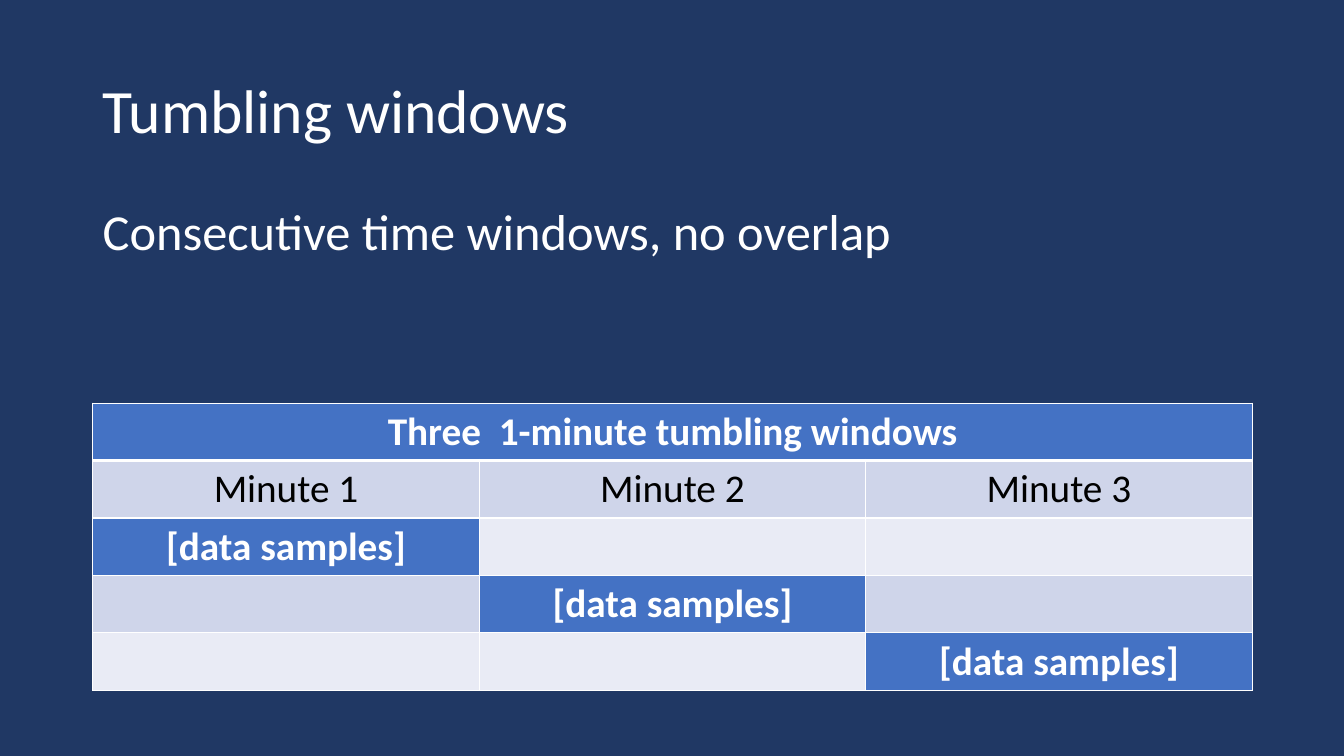
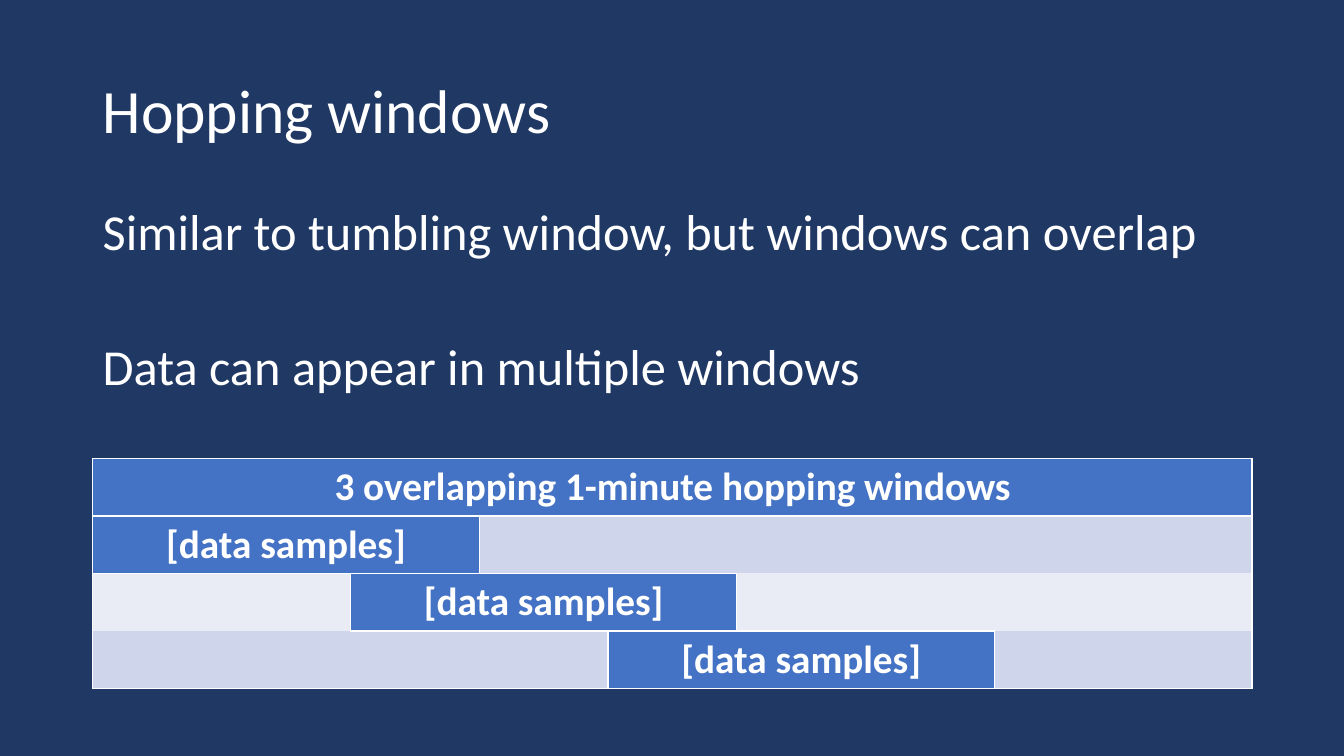
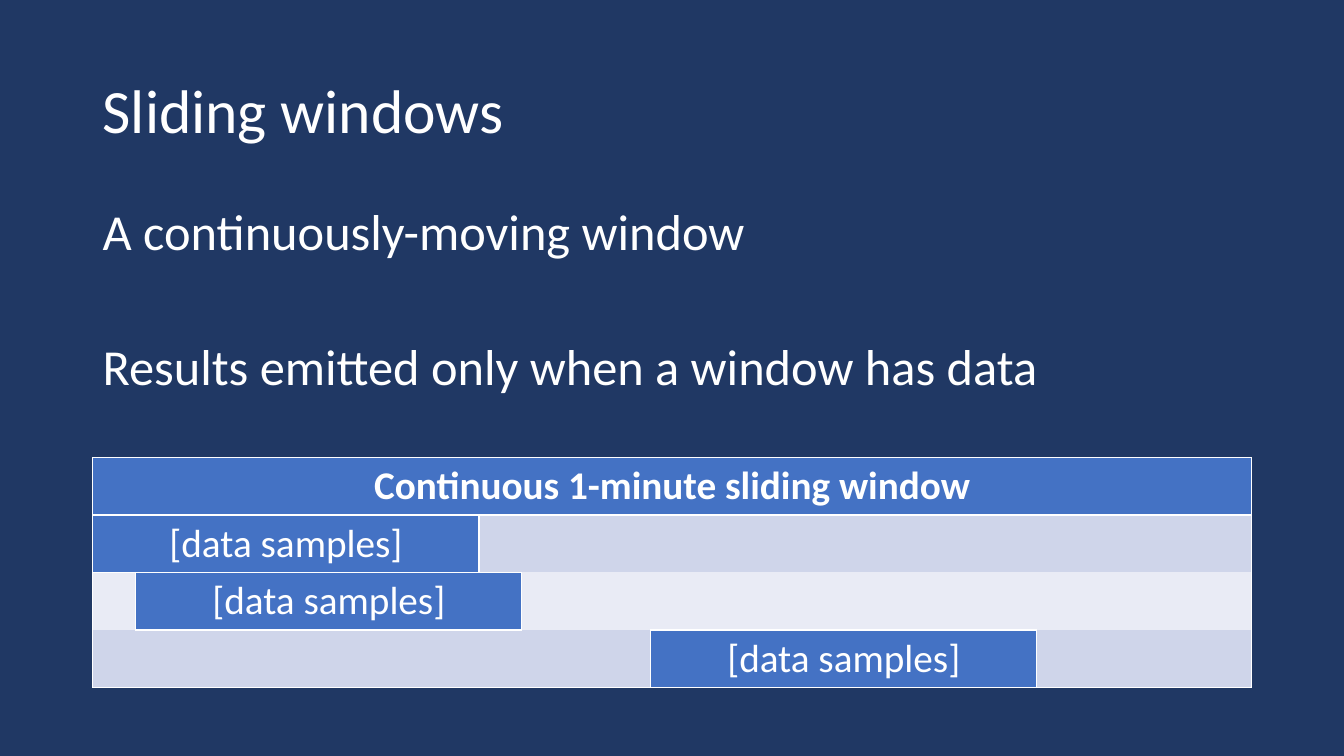
import lxml.etree
import pptx
import pptx.dml.color
import pptx.enum.text
import pptx.oxml.ns
import pptx.util

Inches = pptx.util.Inches
Pt = pptx.util.Pt

COLORS = {
    "background": "203864",
    "white": "FFFFFF",
    "black": "000000",
    "window": "4472C4",
    "odd_row": "CFD5EA",
    "even_row": "E9EBF5",
}
FONT = "Calibri"
LEFT = Inches(0.92)
WIDTH = Inches(11.5)
ROW_HEIGHT = Inches(0.57)
SAMPLES = "[data samples]"


def rgb(name):
    """Return the named colour."""
    return pptx.dml.color.RGBColor.from_string(COLORS[name])


def style_runs(para, size, color="white", bold=False):
    """Give every run of a paragraph the deck font."""
    for span in para.runs:
        span.font.name = FONT
        span.font.size = Pt(size)
        span.font.bold = bold
        span.font.color.rgb = rgb(color)


def add_text(page, top, height, lines, size, gaps, anchor):
    """Add a text box with one paragraph per line and the given space before each."""
    box = page.shapes.add_textbox(LEFT, top, WIDTH, height)
    frame = box.text_frame
    frame.word_wrap = True
    frame.vertical_anchor = anchor
    frame.text = "\n".join(lines)
    for para, gap in zip(frame.paragraphs, gaps):
        para.line_spacing = 0.9
        para.space_before = Pt(gap)
        style_runs(para, size)


def add_page(deck, title, lines):
    """Add a page with its title and statements."""
    page = deck.slides.add_slide(deck.slide_layouts[6])
    anchors = pptx.enum.text.MSO_ANCHOR
    add_text(page, Inches(0.4), Inches(1.45), [title], 44, [0], anchors.MIDDLE)
    add_text(page, Inches(2), Inches(4.76), lines, 36, [10, 58], anchors.TOP)
    return page


def set_borders(cell, widths):
    """Draw the left, right, top and bottom borders; a zero width draws none."""
    properties = cell._tc.get_or_add_tcPr()
    for index, (side, width) in enumerate(zip("LRTB", widths)):
        line = lxml.etree.Element(pptx.oxml.ns.qn(f"a:ln{side}"), w=str(Pt(width)))
        if width:
            fill = lxml.etree.SubElement(line, pptx.oxml.ns.qn("a:solidFill"))
            lxml.etree.SubElement(fill, pptx.oxml.ns.qn("a:srgbClr"), val=COLORS["white"])
        else:
            lxml.etree.SubElement(line, pptx.oxml.ns.qn("a:noFill"))
        properties.insert(index, line)


def fill_cell(cell, text, color, bold):
    """Write centred text into a table cell."""
    cell.text = text
    para = cell.text_frame.paragraphs[0]
    para.alignment = pptx.enum.text.PP_ALIGN.CENTER
    style_runs(para, 28, color, bold)


def add_timeline(page, top, columns, header, starts, span, labels=(),
                 bold=True, header_rule=1):
    """Add a table with a header, optional labels and one window per row."""
    first = 2 if labels else 1
    rows = first + len(starts)
    frame = page.shapes.add_table(rows, columns, LEFT, top, WIDTH, ROW_HEIGHT * rows)
    table = frame.table
    table.first_row = False
    table.horz_banding = False
    for column in table.columns:
        column.width = int(WIDTH / columns)

    windows = [(0, 0, columns, header, True)]
    windows += [(first + index, start, span, SAMPLES, bold)
                for index, start in enumerate(starts)]
    covered = {(row, start + offset)
               for row, start, length, _, _ in windows for offset in range(length)}

    def border(row, column, neighbour):
        """Return the width of the line between a cell and its neighbour."""
        if {row, neighbour[0]} == {0, 1}:
            return header_rule
        outside = not (0 <= neighbour[0] < rows and 0 <= neighbour[1] < columns)
        touches = (row, column) in covered or neighbour in covered
        return 1 if labels or outside or touches else 0

    for row in range(rows):
        for column in range(columns):
            cell = table.cell(row, column)
            band = "odd_row" if row % 2 else "even_row"
            cell.fill.solid()
            cell.fill.fore_color.rgb = rgb("window" if (row, column) in covered else band)
            neighbours = [(row, column - 1), (row, column + 1),
                          (row - 1, column), (row + 1, column)]
            set_borders(cell, [border(row, column, place) for place in neighbours])

    for row, start, length, text, heavy in windows:
        cell = table.cell(row, start)
        if length > 1:
            cell.merge(table.cell(row, start + length - 1))
        fill_cell(cell, text, "white", heavy)
    for column, label in enumerate(labels):
        fill_cell(table.cell(1, column), label, "black", False)


def main():
    """Build the deck of window types."""
    deck = pptx.Presentation()
    deck.slide_width = Inches(13.33)
    deck.slide_height = Inches(7.5)
    background = deck.slide_master.background.fill
    background.solid()
    background.fore_color.rgb = rgb("background")

    page = add_page(deck, "Tumbling windows", ["Consecutive time windows, no overlap"])
    add_timeline(page, Inches(4), 3, "Three  1-minute tumbling windows", [0, 1, 2], 1,
                 labels=[f"Minute {number}" for number in (1, 2, 3)], header_rule=3)

    page = add_page(deck, "Hopping windows",
                    ["Similar to tumbling window, but windows can overlap",
                     "Data can appear in multiple windows"])
    add_timeline(page, Inches(4.55), 9, "3 overlapping 1-minute hopping windows",
                 [0, 2, 4], 3)

    page = add_page(deck, "Sliding windows",
                    ["A continuously-moving window",
                     "Results emitted only when a window has data"])
    add_timeline(page, Inches(4.54), 27, "Continuous 1-minute sliding window",
                 [0, 1, 13], 9, bold=False)

    deck.save("out.pptx")


main()
